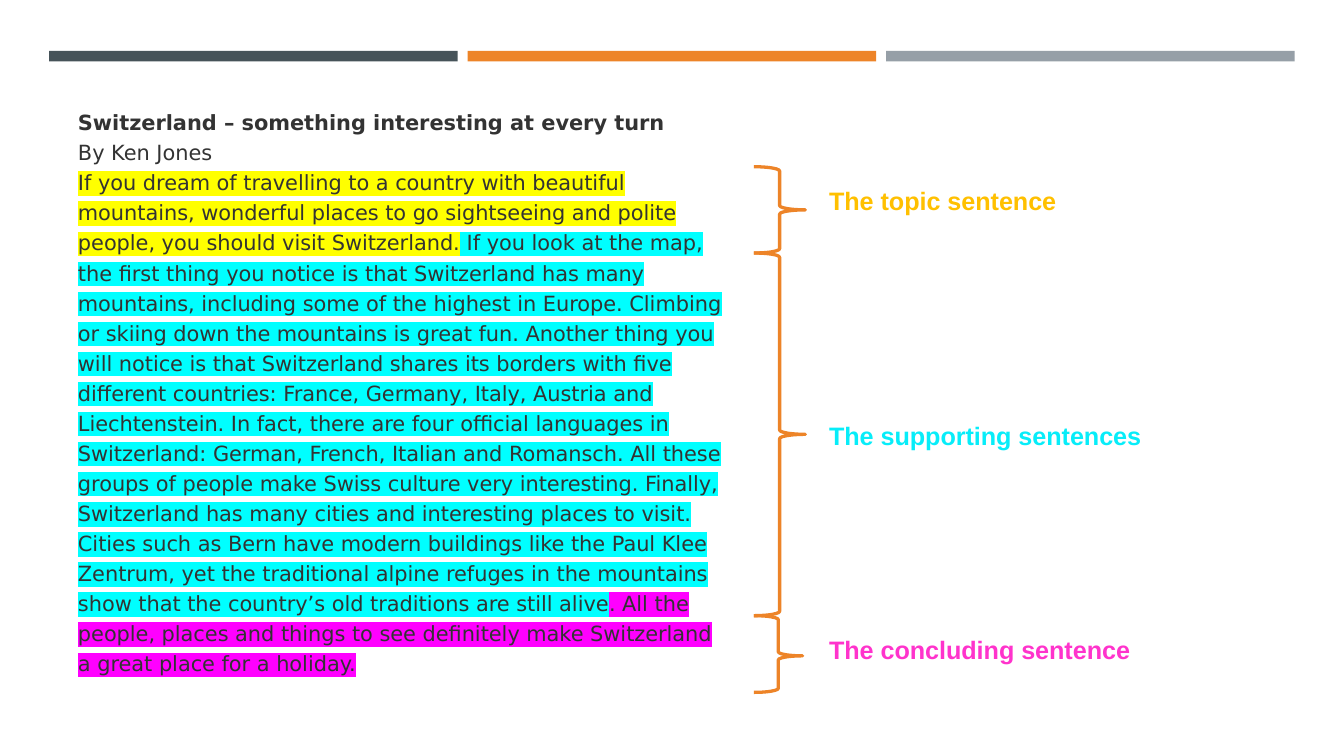
from lxml.etree import SubElement
from pptx import Presentation
from pptx.dml.color import RGBColor
from pptx.enum.shapes import MSO_SHAPE
from pptx.enum.text import MSO_ANCHOR, MSO_AUTO_SIZE
from pptx.oxml.ns import qn
from pptx.util import Cm, Pt

ORANGE = "ED8428"
HEADLINE = "Switzerland – something interesting at every turn"
BYLINE = "By Ken Jones"
TOPIC = (
    "If you dream of travelling to a country with beautiful mountains, wonderful "
    "places to go sightseeing and polite people, you should visit Switzerland."
)
SUPPORT = (
    " If you look at the map, the first thing you notice is that Switzerland has "
    "many mountains, including some of the highest in Europe. Climbing or skiing "
    "down the mountains is great fun. Another thing you will notice is that "
    "Switzerland shares its borders with five different countries: France, Germany, "
    "Italy, Austria and Liechtenstein. In fact, there are four official languages in "
    "Switzerland: German, French, Italian and Romansch. All these groups of people "
    "make Swiss culture very interesting. Finally, Switzerland has many cities and "
    "interesting places to visit. Cities such as Bern have modern buildings like the "
    "Paul Klee Zentrum, yet the traditional alpine refuges in the mountains show that "
    "the country’s old traditions are still alive"
)
CONCLUSION = (
    ". All the people, places and things to see definitely make Switzerland a great "
    "place for a holiday."
)


def color(hex_string):
    return RGBColor.from_string(hex_string)


def set_font(font, name, size, hex_string):
    font.name = name
    font.size = Pt(size)
    font.color.rgb = color(hex_string)


def add_bar(slide, left, fill):
    bar = slide.shapes.add_shape(MSO_SHAPE.RECTANGLE, Cm(left), Cm(0.96), Cm(7.72), Cm(0.2))
    bar.shadow.inherit = False
    bar.fill.solid()
    bar.fill.fore_color.rgb = color(fill)
    bar.line.fill.background()


def add_brace(slide, top, width, height, adjustments=()):
    brace = slide.shapes.add_shape(
        MSO_SHAPE.RIGHT_BRACE, Cm(14.25), Cm(top), Cm(width), Cm(height))
    brace.shadow.inherit = False
    brace.fill.background()
    brace.line.color.rgb = color(ORANGE)
    brace.line.width = Pt(1.75)
    for index, value in enumerate(adjustments):
        brace.adjustments[index] = value


def add_label(slide, top, text, hex_string):
    label = slide.shapes.add_textbox(Cm(15.42), Cm(top), Cm(8.48), Cm(0.84))
    label.text_frame.word_wrap = True
    paragraph = label.text_frame.paragraphs[0]
    paragraph.text = text
    set_font(paragraph.font, "Arial", 13.5, hex_string)
    paragraph.font.bold = True


def add_highlighted_run(paragraph, text, hex_string):
    run = paragraph.add_run()
    run.text = text
    highlight = SubElement(run.font._element, qn("a:highlight"))
    SubElement(highlight, qn("a:srgbClr"), val=hex_string)


def fill_article(body):
    body.left, body.top, body.width, body.height = Cm(1.22), Cm(1.47), Cm(12.85), Cm(11.81)
    frame = body.text_frame
    frame.auto_size = MSO_AUTO_SIZE.NONE
    frame.vertical_anchor = MSO_ANCHOR.MIDDLE
    article = frame.paragraphs[0]
    article.line_spacing = 1.2
    article.space_before = Pt(2.25)
    article.space_after = Pt(4.5)

    # No bullet and no hanging indent
    properties = article._p.get_or_add_pPr()
    properties.set("marL", "0")
    properties.set("indent", "0")
    SubElement(properties, qn("a:buNone"))
    set_font(article.font, "DejaVu Sans", 11.2, "333333")

    headline = article.add_run()
    headline.text = HEADLINE
    headline.font.bold = True
    article.add_line_break()
    article.add_run().text = BYLINE
    article.add_line_break()
    for text, marker in ((TOPIC, "FFFF00"), (SUPPORT, "00FFFF"), (CONCLUSION, "FF00FF")):
        add_highlighted_run(article, text, marker)


def main():
    presentation = Presentation()
    presentation.slide_width, presentation.slide_height = Cm(25.4), Cm(14.28)
    slide = presentation.slides.add_slide(presentation.slide_layouts[1])
    title = slide.shapes.title._element
    title.getparent().remove(title)

    # Bars across the top
    for column, fill in enumerate(("465359", ORANGE, "969FA7")):
        add_bar(slide, 0.93 + column * 7.91, fill)

    # Article with its three parts marked
    fill_article(slide.placeholders[1])

    # Braces beside the parts
    add_brace(slide, 3.15, 0.97, 1.63)
    add_brace(slide, 4.78, 0.97, 6.85)
    add_brace(slide, 11.63, 0.92, 1.45, (0.083, 0.524))

    # Names of the parts
    add_label(slide, 3.38, "The topic sentence", "FFC000")
    add_label(slide, 7.82, "The supporting sentences", "07EDF9")
    add_label(slide, 11.86, "The concluding sentence", "FF33CC")

    presentation.save("out.pptx")


if __name__ == "__main__":
    main()
